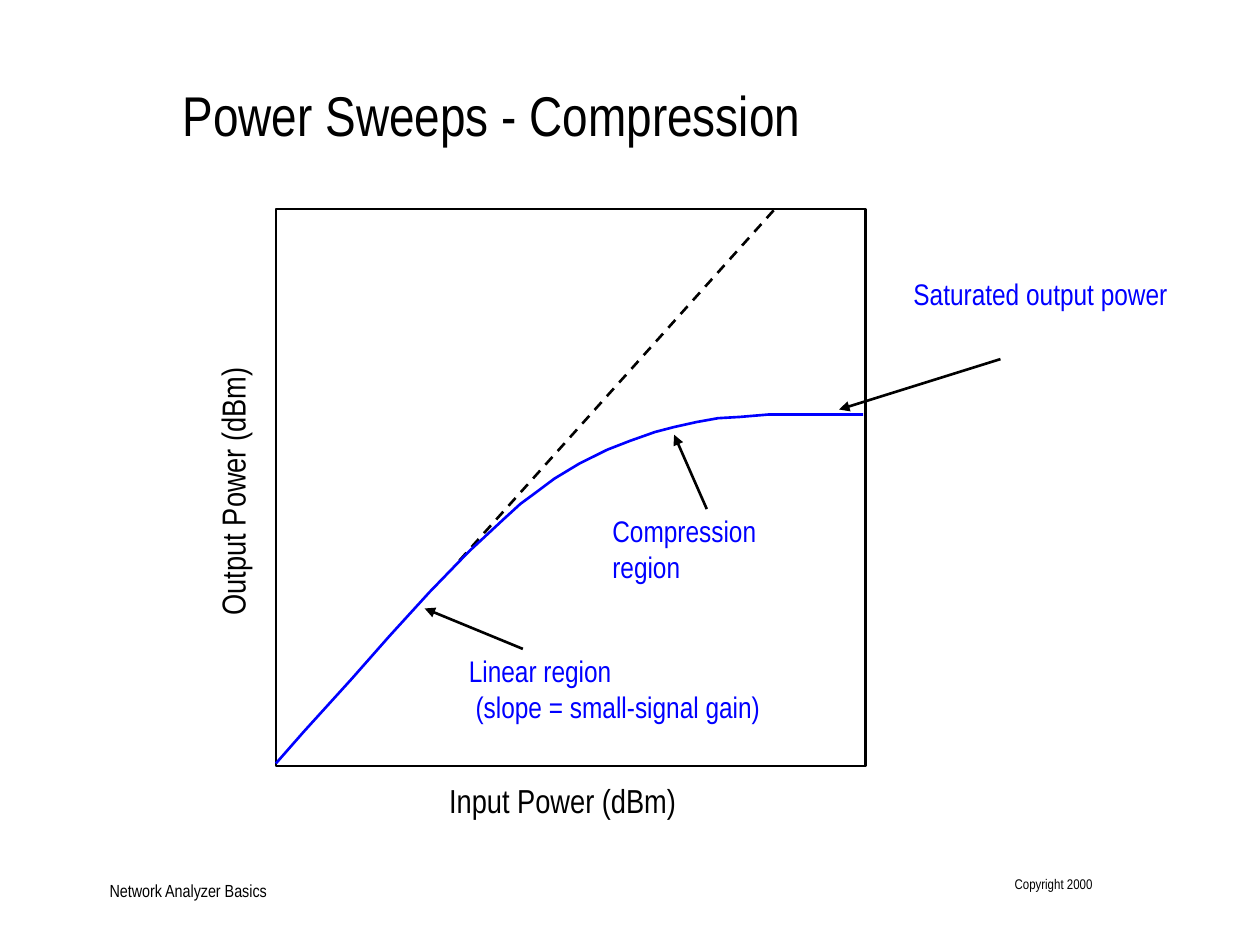
from collections import namedtuple
from dataclasses import dataclass

from pptx import Presentation
from pptx import util as u
from pptx.dml.color import RGBColor
from pptx.enum import dml, shapes, text
from pptx.oxml.ns import qn
from lxml import etree

Pt = u.Pt
Box = namedtuple("Box", "left top width height")


@dataclass(frozen=True)
class Theme:
    font: str = "Arial Narrow"
    ink: RGBColor = RGBColor(0, 0, 0)
    accent: RGBColor = RGBColor(0, 0, 255)
    title: int = 32
    axis: int = 19
    label: int = 17
    footer: int = 10
    copyright: int = 8
    stroke: float = 1.5


THEME = Theme()

# Output power against input power, in points from the plot's top left corner
CURVE = [
    (0, 316.8), (15.8, 298.8), (43.2, 268.6), (64.8, 244.1), (87.8, 218.9),
    (110.2, 195.8), (130.3, 177.1), (139.7, 168.5), (147.6, 162.7),
    (159.1, 154.1), (173.5, 145.4), (189.4, 137.5), (202.3, 132.5),
    (216.7, 127.4), (227.5, 124.6), (240.5, 121.7), (252.7, 119.5),
    (265, 118.8), (281.5, 117.4), (335.5, 117.4),
]
SMALL_SIGNAL_LINE = ((284.4, 0.7), (101.5, 204.5))

# Each callout: lines of text, text box in the plot, arrow start and arrow tip
CALLOUTS = [
    (["Saturated output power"], Box(364.3, 38.2, 150, 21.6), (414, 85.7), (321.8, 114.5)),
    (["Compression region"], Box(192.2, 173.5, 121, 26), (246.2, 171.4), (227.5, 128.9)),
    (["Linear region", " (slope = small-signal gain)"],
     Box(110.2, 253.4, 224.6, 41.8), (141.1, 251.3), (85, 228.2)),
]


def inside(outer, box):
    return Box(outer.left + box.left, outer.top + box.top, box.width, box.height)


def add_text(page, box, lines, *, size, color=THEME.ink, align=text.PP_ALIGN.LEFT,
             anchor=text.MSO_ANCHOR.TOP, rotation=0):
    holder = page.shapes.add_textbox(*map(Pt, box))
    holder.rotation = rotation
    frame = holder.text_frame
    frame.word_wrap = True
    frame.vertical_anchor = anchor
    frame.margin_left = frame.margin_right = frame.margin_top = frame.margin_bottom = 0
    for number, line in enumerate(lines):
        para = frame.add_paragraph() if number else frame.paragraphs[0]
        para.alignment = align
        span = para.add_run()
        span.text = line
        span.font.name = THEME.font
        span.font.size = Pt(size)
        span.font.color.rgb = color


def set_stroke(line, color):
    line.color.rgb = color
    line.width = Pt(THEME.stroke)


def add_line(page, box, start, end, *, dashed=False, arrow=False):
    points = [Pt(value) for x, y in (start, end) for value in (box.left + x, box.top + y)]
    connector = page.shapes.add_connector(shapes.MSO_CONNECTOR.STRAIGHT, *points)
    set_stroke(connector.line, THEME.ink)
    if dashed:
        connector.line.dash_style = dml.MSO_LINE.DASH
    properties = connector._element.spPr
    if arrow:
        etree.SubElement(properties.find(qn("a:ln")), qn("a:tailEnd"), type="triangle")
    etree.SubElement(properties, qn("a:effectLst"))


def add_outline(shape, color):
    shape.shadow.inherit = False
    shape.fill.background()
    set_stroke(shape.line, color)


def add_title(page, box):
    add_text(page, box, ["Power Sweeps - Compression"], size=THEME.title)


def add_plot(page, box):
    # Frame
    add_outline(page.shapes.add_shape(shapes.MSO_SHAPE.RECTANGLE, *map(Pt, box)), THEME.ink)

    # Axis titles
    axis = dict(size=THEME.axis, align=text.PP_ALIGN.CENTER)
    add_text(page, inside(box, Box(-136.8, 149, 225.4, 24.5)), ["Output Power (dBm)"],
             rotation=270, **axis)
    add_text(page, inside(box, Box(77, 326.2, 173.5, 23)), ["Input Power (dBm)"], **axis)

    # Ideal line and measured curve
    add_line(page, box, *SMALL_SIGNAL_LINE, dashed=True)
    points = [(Pt(box.left + x), Pt(box.top + y)) for x, y in CURVE]
    builder = page.shapes.build_freeform(*points[0])
    builder.add_line_segments(points[1:], close=False)
    add_outline(builder.convert_to_shape(), THEME.accent)

    # Callouts
    for lines, label, start, tip in CALLOUTS:
        add_text(page, inside(box, label), lines, size=THEME.label, color=THEME.accent)
        add_line(page, box, start, tip, arrow=True)


def add_footer(page, box):
    add_text(page, Box(box.left, box.top + 1.5, 192, 13), ["Network Analyzer Basics"],
             size=THEME.footer, anchor=text.MSO_ANCHOR.BOTTOM)
    width = 60
    add_text(page, Box(box.left + box.width - width, box.top, width, box.height),
             ["Copyright 2000"], size=THEME.copyright, align=text.PP_ALIGN.RIGHT)


def main():
    deck = Presentation()
    deck.slide_width, deck.slide_height = Pt(720), Pt(540)
    page = deck.slides.add_slide(deck.slide_layouts[6])
    add_title(page, Box(104.4, 46, 583, 70))
    add_plot(page, Box(157.7, 119.5, 337, 318.2))
    add_footer(page, Box(62.6, 500.4, 561.8, 18))
    deck.save("out.pptx")


if __name__ == "__main__":
    main()
